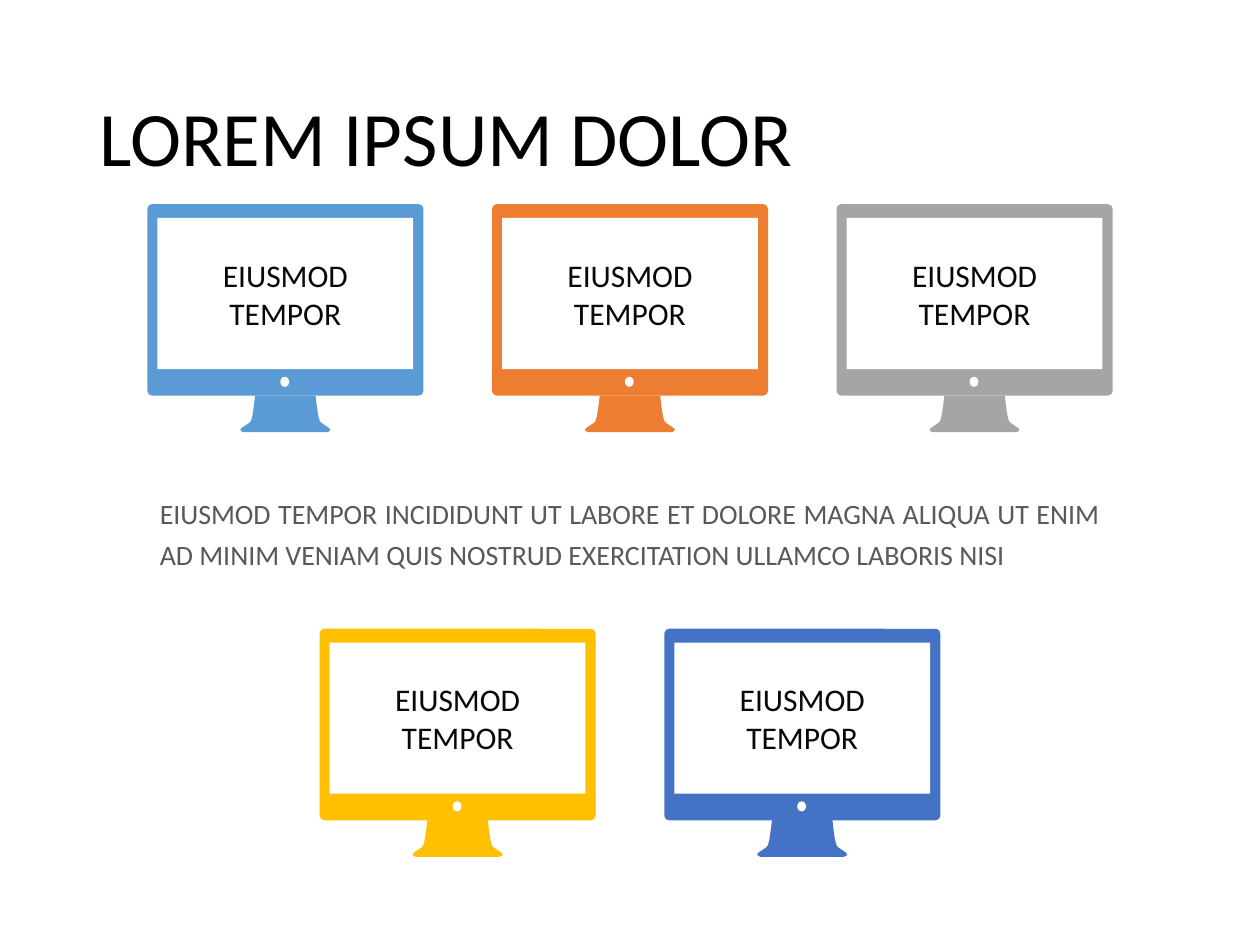
from dataclasses import dataclass

from pptx import Presentation
from pptx.dml.color import RGBColor
from pptx.enum import shapes, text
from pptx.util import Inches, Pt


@dataclass(frozen=True)
class Theme:
    font: str = "Calibri"
    title_size: int = 44
    body_size: int = 16
    label_size: int = 18
    title: str = "000000"
    body: str = "595959"
    label: str = "080808"
    white: str = "FFFFFF"
    accents: tuple[str, ...] = ("5B9BD5", "ED7D31", "A5A5A5", "FFC000", "4472C4")


@dataclass(frozen=True)
class Monitor:
    left: float
    top: float
    color: str
    label: str = "EIUSMOD TEMPOR"


THEME = Theme()
FRAME_W, FRAME_H, CORNER = 2.19, 1.52, 0.04
PITCH = 2.735
Point = tuple[float, float]

# Right half of the stand, from the frame down, as Bezier curves about its axis
STAND_CURVES: list[list[Point]] = [
    [(0.24, 0), (0.25, 0.08), (0.26, 0.19), (0.28, 0.21)],
    [(0.28, 0.21), (0.31, 0.24), (0.4, 0.27), (0.33, 0.29)],
]


def curve_points(curve: list[Point], steps: int = 12) -> list[Point]:
    a, b, c, d = curve
    pts = []
    for i in range(steps + 1):
        t = i / steps
        s = 1 - t
        x, y = (s**3 * a[k] + 3 * s * s * t * b[k] + 3 * s * t * t * c[k] + t**3 * d[k]
                for k in (0, 1))
        pts.append((x, y))
    return pts


def paint(sp, color: str) -> None:
    sp.shadow.inherit = False
    sp.fill.solid()
    sp.fill.fore_color.rgb = RGBColor.from_string(color)
    sp.line.fill.background()


def write(sp, words: str, size: int, color: str, anchor, **para_format) -> None:
    tf = sp.text_frame
    tf.word_wrap = True
    tf.vertical_anchor = anchor
    p = tf.paragraphs[0]
    for name, value in para_format.items():
        setattr(p, name, value)
    r = p.add_run()
    r.text = words
    for name, value in {"name": THEME.font, "size": Pt(size)}.items():
        setattr(r.font, name, value)
    r.font.color.rgb = RGBColor.from_string(color)


def add_part(slide, kind, x: float, y: float, w: float, h: float, color: str):
    sp = slide.shapes.add_shape(kind, Inches(x), Inches(y), Inches(w), Inches(h))
    paint(sp, color)
    return sp


def add_text(slide, x: float, y: float, w: float, h: float):
    return slide.shapes.add_textbox(Inches(x), Inches(y), Inches(w), Inches(h))


def add_stand(slide, axis: float, top: float, color: str) -> None:
    right = [pt for curve in STAND_CURVES for pt in curve_points(curve)]
    outline = right + [(-x, y) for x, y in reversed(right)]
    pts = [(Inches(axis + x), Inches(top + y)) for x, y in outline]
    builder = slide.shapes.build_freeform(*pts[0])
    builder.add_line_segments(pts[1:], close=True)
    paint(builder.convert_to_shape(), color)


def add_monitor(slide, m: Monitor) -> None:
    kinds = shapes.MSO_SHAPE
    axis = m.left + FRAME_W / 2
    frame = add_part(slide, kinds.ROUNDED_RECTANGLE, m.left, m.top, FRAME_W, FRAME_H, m.color)
    frame.adjustments[0] = CORNER / FRAME_H
    add_stand(slide, axis, m.top + FRAME_H, m.color)
    add_part(slide, kinds.OVAL, axis - 0.04, m.top + 1.37, 0.07, 0.08, THEME.white)
    screen = add_part(slide, kinds.RECTANGLE, m.left + 0.08, m.top + 0.11, 2.03, 1.2, THEME.white)
    write(screen, m.label, THEME.label_size, THEME.label, text.MSO_ANCHOR.MIDDLE,
          alignment=text.PP_ALIGN.CENTER)


prs = Presentation()
prs.slide_width, prs.slide_height = Inches(10), Inches(7.5)
slide = prs.slides.add_slide(prs.slide_layouts[6])

# Title and body text
write(add_text(slide, 0.69, 0.4, 8.62, 1.45), "LOREM IPSUM DOLOR", THEME.title_size,
      THEME.title, text.MSO_ANCHOR.MIDDLE, line_spacing=0.9)
write(add_text(slide, 1.17, 3.84, 7.66, 1.18),
      "EIUSMOD TEMPOR INCIDIDUNT UT LABORE ET DOLORE MAGNA ALIQUA UT ENIM "
      "AD MINIM VENIAM QUIS NOSTRUD EXERCITATION ULLAMCO LABORIS NISI",
      THEME.body_size, THEME.body, text.MSO_ANCHOR.TOP,
      alignment=text.PP_ALIGN.JUSTIFY, line_spacing=1.2)

# Three monitors above, two below, the lower row shifted by half a pitch
places = [(1.17 + PITCH * i, 1.62) for i in range(3)]
places += [(1.17 + PITCH * (i + 0.5), 4.99) for i in range(2)]
for (left, top), color in zip(places, THEME.accents):
    add_monitor(slide, Monitor(left, top, color))

prs.save("out.pptx")
